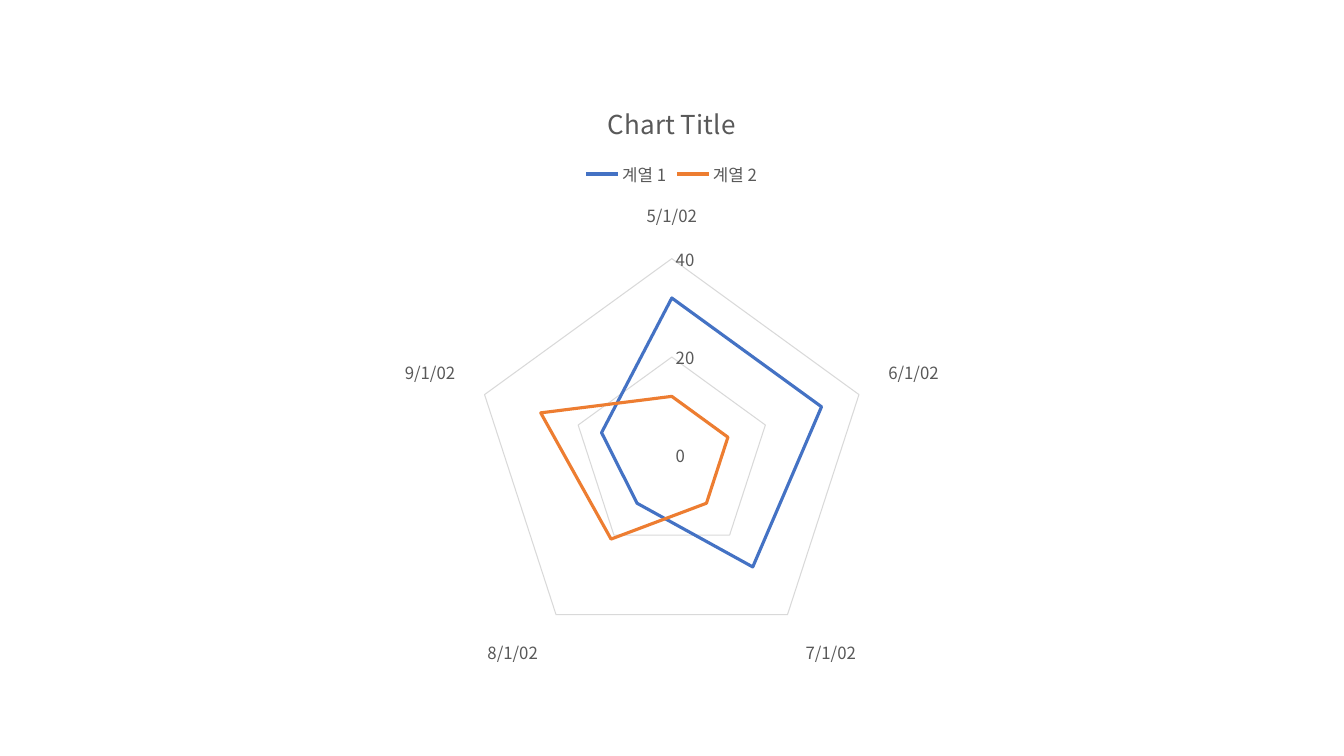
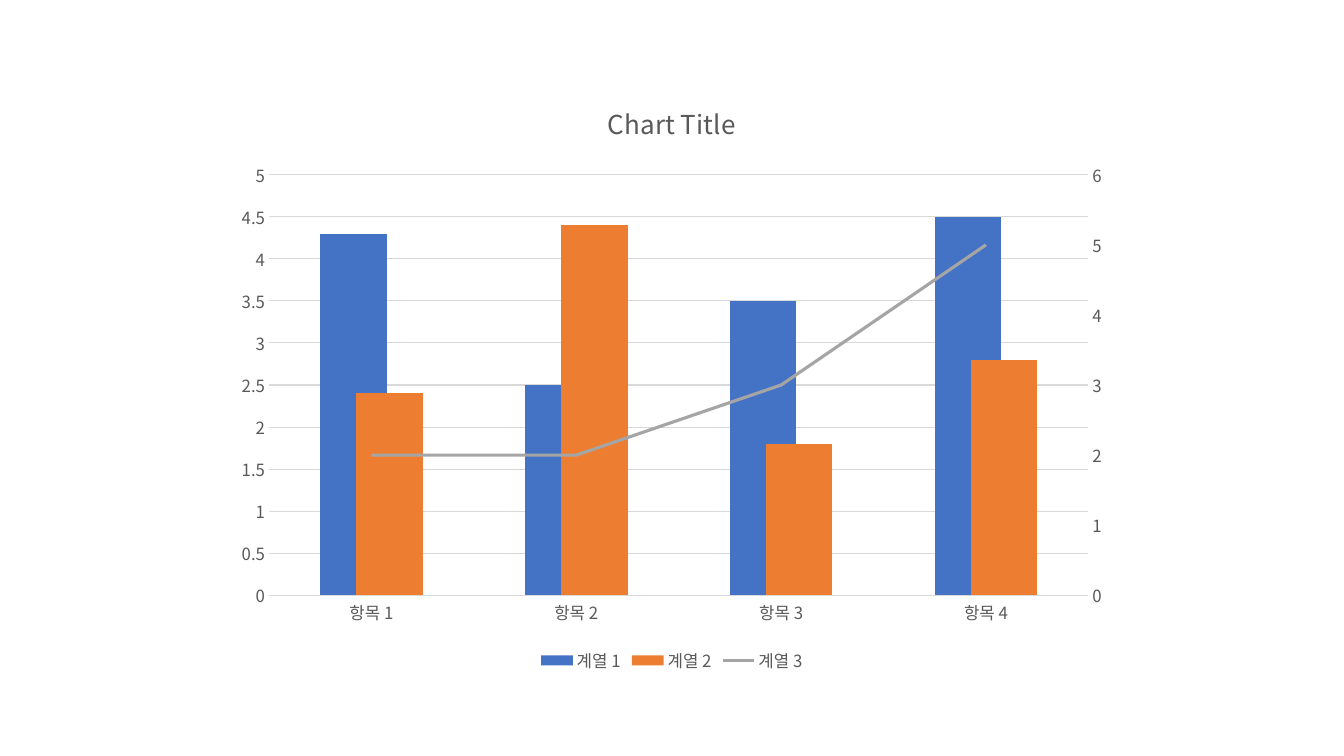
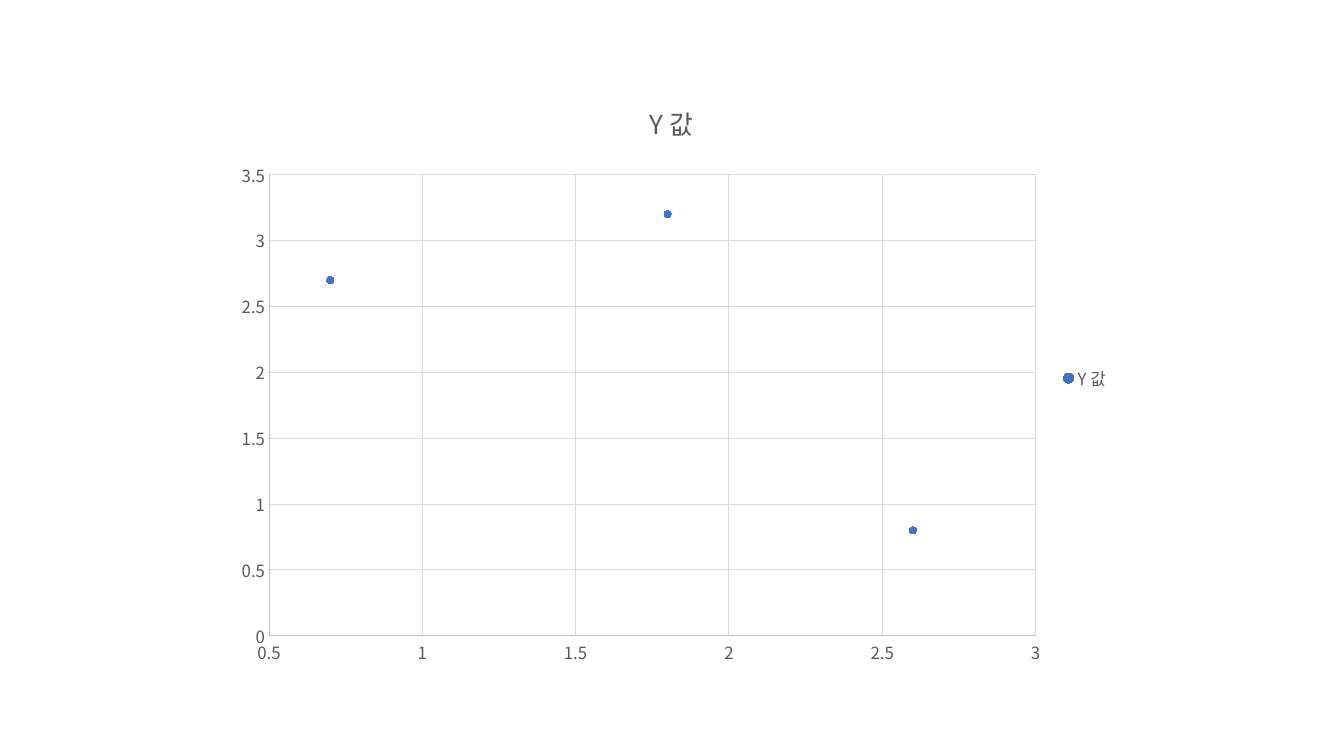
"""Build three chart slides: a radar, a column and line combination, and a scatter."""
import copy
import dataclasses
import typing

import pptx
import pptx.chart.axis
import pptx.chart.chart
import pptx.chart.data
import pptx.dml.color
import pptx.enum.chart
import pptx.oxml
import pptx.oxml.ns
import pptx.util

Cm = pptx.util.Cm
Pt = pptx.util.Pt
qn = pptx.oxml.ns.qn
ChartType = pptx.enum.chart.XL_CHART_TYPE
Legend = pptx.enum.chart.XL_LEGEND_POSITION
Marker = pptx.enum.chart.XL_MARKER_STYLE

FONT = "Noto Sans CJK KR"
TEXT, GRID, AXIS = "595959", "D9D9D9", "BFBFBF"
BLUE, ORANGE, GRAY = "4472C4", "ED7D31", "A5A5A5"
CHART_BOX = (Cm(5.64), Cm(2), Cm(22.58), Cm(15.06))


@dataclasses.dataclass(frozen=True)
class Scale:
    """Range and step of a value axis."""
    low: float
    high: float
    step: float


@dataclasses.dataclass(frozen=True)
class ChartStyle:
    """What differs from one chart slide to the next."""
    kind: ChartType
    title: str
    legend: Legend
    scale: Scale
    category_line: str = GRID
    value_line: typing.Optional[str] = None


def set_color(color_owner: typing.Any, color: str) -> None:
    """Give a font or a fill a hex colour."""
    if hasattr(color_owner, "solid"):
        color_owner.solid()
        color_owner.fore_color.rgb = pptx.dml.color.RGBColor.from_string(color)
    else:
        color_owner.color.rgb = pptx.dml.color.RGBColor.from_string(color)


def set_line(line: typing.Any, color: typing.Optional[str], width: float = 0.75) -> None:
    """Draw a line in a colour, or hide it when there is none."""
    if color is None:
        line.fill.background()
    else:
        set_color(line.fill, color)
        line.width = Pt(width)


def set_font(font: typing.Any, size: float) -> None:
    """Apply the shared chart font."""
    font.name = FONT
    font.size = Pt(size)
    font.bold = False
    set_color(font, TEXT)


def set_scale(axis: typing.Any, scale: Scale) -> None:
    """Fix the range and step of an axis."""
    axis.minimum_scale, axis.maximum_scale = scale.low, scale.high
    axis.major_unit = scale.step


def format_axis(axis: typing.Any, line: typing.Optional[str], grid: bool) -> None:
    """Style an axis, its labels and its gridlines."""
    axis.major_tick_mark = axis.minor_tick_mark = pptx.enum.chart.XL_TICK_MARK.NONE
    axis.has_major_gridlines = grid
    if grid:
        set_line(axis.major_gridlines.format.line, GRID)
    set_line(axis.format.line, line)
    set_font(axis.tick_labels.font, 12)


def add_chart(presentation: typing.Any, style: ChartStyle, data: typing.Any) -> pptx.chart.chart.Chart:
    """Add a blank slide with one chart in the shared style."""
    slide = presentation.slides.add_slide(presentation.slide_layouts[6])
    chart = slide.shapes.add_chart(style.kind, *CHART_BOX, data).chart
    set_font(chart.font, 12)
    chart.has_title = True
    title_frame = chart.chart_title.text_frame
    title_frame.text = style.title
    set_font(title_frame.paragraphs[0].runs[0].font, 18.6)
    chart.has_legend = True
    chart.legend.position = style.legend
    chart.legend.include_in_layout = False
    set_font(chart.legend.font, 12)
    is_scatter = style.kind == ChartType.XY_SCATTER
    format_axis(chart.category_axis, style.category_line, is_scatter)
    format_axis(chart.value_axis, style.value_line, True)
    set_scale(chart.value_axis, style.scale)
    chart.plots[0].vary_by_categories = False
    for latin in list(chart.element.iter(qn("a:latin"))):
        east_asian = copy.deepcopy(latin)
        east_asian.tag = qn("a:ea")
        latin.addnext(east_asian)
    return chart


def category_data(categories: typing.Sequence, rows: typing.Sequence) -> pptx.chart.data.CategoryChartData:
    """Collect series that share one list of categories."""
    data = pptx.chart.data.CategoryChartData()
    data.categories = categories
    for number, values in enumerate(rows, start=1):
        data.add_series(f"계열 {number}", values)
    return data


def set_child(parent: typing.Any, tag: str, value: str) -> None:
    """Set the value of a child element that is present."""
    for child in parent.findall(qn(f"c:{tag}")):
        child.set("val", value)


def move_last_series_to_line(chart: pptx.chart.chart.Chart, scale: Scale) -> None:
    """Turn the last column series into a line on a right-hand axis."""
    columns = chart.element.find(".//" + qn("c:barChart"))
    series = columns.findall(qn("c:ser"))[-1]
    for bar_setting in series.findall(qn("c:invertIfNegative")):
        series.remove(bar_setting)
    line_chart = pptx.oxml.parse_xml(
        f'<c:lineChart {pptx.oxml.ns.nsdecls("c")}><c:grouping val="standard"/>'
        '<c:varyColors val="0"/><c:marker val="1"/>'
        '<c:axId val="5001"/><c:axId val="5002"/></c:lineChart>')
    line_chart.insert(2, series)
    columns.addnext(line_chart)

    plot_area = columns.getparent()
    category_axis = plot_area.find(qn("c:catAx"))
    value_axis = plot_area.find(qn("c:valAx"))
    right_axis, hidden_axis = copy.deepcopy(value_axis), copy.deepcopy(category_axis)
    value_axis.addnext(right_axis)
    right_axis.addnext(hidden_axis)
    settings = (
        (hidden_axis, {"axId": "5001", "crossAx": "5002"}),
        (right_axis, {"axId": "5002", "crossAx": "5001", "axPos": "r", "crosses": "max"}),
    )
    for axis, values in settings:
        for tag, value in values.items():
            set_child(axis, tag, value)
    pptx.chart.axis.CategoryAxis(hidden_axis).visible = False
    right = pptx.chart.axis.ValueAxis(right_axis)
    right.has_major_gridlines = False
    set_scale(right, scale)


def add_radar_slide(presentation: typing.Any) -> None:
    """Add the radar chart of two series over five dates."""
    data = category_data((37377, 37408, 37438, 37469, 37500),
                         ((32, 32, 28, 12, 15), (12, 12, 12, 21, 28)))
    data.categories.number_format = "m/d/yy"
    style = ChartStyle(ChartType.RADAR, "Chart Title", Legend.TOP, Scale(0, 40, 20))
    chart = add_chart(presentation, style, data)
    for series, color in zip(chart.plots[0].series, (BLUE, ORANGE)):
        set_line(series.format.line, color, 2.25)
        series.smooth = False


def add_combination_slide(presentation: typing.Any) -> None:
    """Add the columns with a line on a second axis."""
    data = category_data([f"항목 {number}" for number in range(1, 5)],
                         ((4.3, 2.5, 3.5, 4.5), (2.4, 4.4, 1.8, 2.8), (2, 2, 3, 5)))
    style = ChartStyle(ChartType.COLUMN_CLUSTERED, "Chart Title", Legend.BOTTOM, Scale(0, 5, 0.5))
    chart = add_chart(presentation, style, data)
    move_last_series_to_line(chart, Scale(0, 6, 1))
    columns, lines = chart.plots
    columns.gap_width, columns.overlap = 154, 46
    for series, color in zip(columns.series, (BLUE, ORANGE)):
        set_color(series.format.fill, color)
    trend = lines.series[0]
    set_line(trend.format.line, GRAY, 2.25)
    trend.marker.style = Marker.NONE
    trend.smooth = False


def add_scatter_slide(presentation: typing.Any) -> None:
    """Add the scatter chart of three points."""
    data = pptx.chart.data.XyChartData()
    points = data.add_series("Y 값")
    for x, y in ((0.7, 2.7), (1.8, 3.2), (2.6, 0.8)):
        points.add_data_point(x, y)
    style = ChartStyle(ChartType.XY_SCATTER, "Y 값", Legend.RIGHT, Scale(0, 3.5, 0.5), AXIS, AXIS)
    chart = add_chart(presentation, style, data)
    set_scale(chart.category_axis, Scale(0.5, 3, 0.5))
    series = chart.plots[0].series[0]
    set_line(series.format.line, None)
    series.marker.style, series.marker.size = Marker.CIRCLE, 5
    set_color(series.marker.format.fill, BLUE)
    set_line(series.marker.format.line, BLUE)


def main() -> None:
    """Build and save the presentation."""
    presentation = pptx.Presentation()
    presentation.slide_width, presentation.slide_height = Cm(33.87), Cm(19.05)
    add_radar_slide(presentation)
    add_combination_slide(presentation)
    add_scatter_slide(presentation)
    presentation.save("out.pptx")


main()
